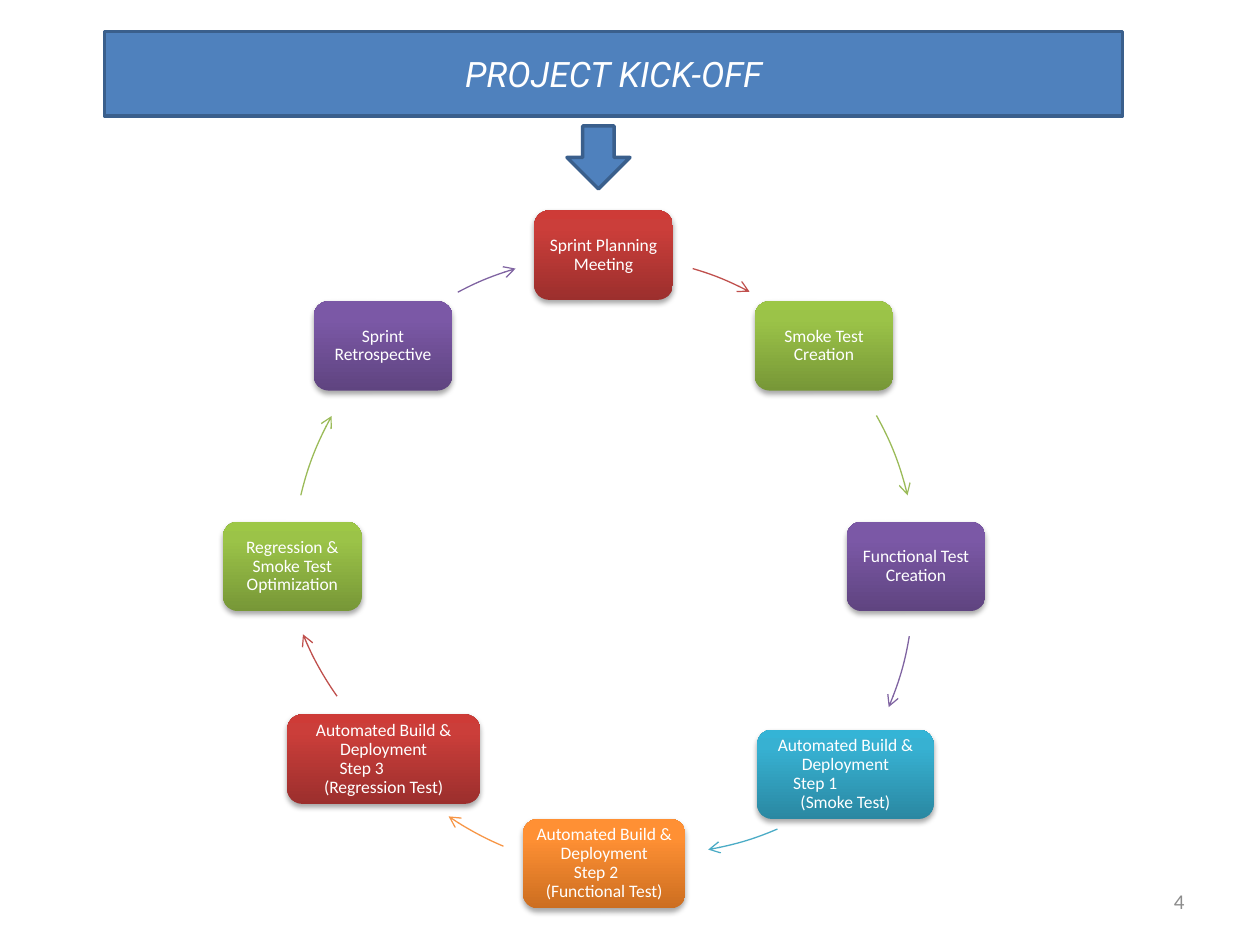
import copy
from dataclasses import dataclass

import pptx
import pptx.dml.color
import pptx.enum.shapes
import pptx.enum.text
import pptx.oxml
import pptx.oxml.ns
import pptx.util
from pptx.util import Inches

SHAPES = pptx.enum.shapes.MSO_SHAPE
ALIGN = pptx.enum.text.PP_ALIGN
MIDDLE = pptx.enum.text.MSO_ANCHOR.MIDDLE
RGB = pptx.dml.color.RGBColor.from_string
qn = pptx.oxml.ns.qn


@dataclass(frozen=True)
class Tone:
    dark: str
    mid: str
    light: str
    arrow: str


@dataclass(frozen=True)
class Theme:
    banner: str = "4F81BD"
    banner_edge: str = "3A5F8C"
    white: str = "FFFFFF"
    grey: str = "8C8C8C"
    body_font: str = "Calibri"
    title_font: str = "Roboto"
    title_size: int = 20
    card_size: int = 10
    number_size: int = 12
    banner_line: float = 2
    arrow_line: float = 0.75
    red: Tone = Tone("9C2F2D", "CB3E3A", "CE3B37", "C0504D")
    green: Tone = Tone("779737", "9BC348", "9DC746", "9BBB59")
    purple: Tone = Tone("5F4480", "7B58A6", "7C57A8", "8064A2")
    teal: Tone = Tone("2A88A2", "37B1D2", "34B4D6", "4BACC6")
    orange: Tone = Tone("CC6E20", "FF9034", "FF9136", "F79646")


THEME = Theme()
CARD_WIDTH, CARD_HEIGHT = 1.1, 0.71
RING_SIZE = 4.95
RING = (2.32, 2.03)
BUILD = "Automated Build & Deployment"

# card: left, top, width, tone, lines, step indent; arrow: ring corner, start and end degrees
STAGES = [
    ((4.24, 1.67, CARD_WIDTH), THEME.red, ["Sprint Planning Meeting"], 0,
     RING, (286.5, 297.8)),
    ((5.99, 2.39, CARD_WIDTH), THEME.green, ["Smoke Test Creation"], 0,
     RING, (330.8, 346.6)),
    ((6.72, 4.14, CARD_WIDTH), THEME.purple, ["Functional Test Creation"], 0,
     (2.3, 2.17), (9.4, 23)),
    ((6.01, 5.79, 1.4), THEME.teal, [BUILD, "Step 1", "(Smoke Test)"], 0.21,
     (2.72, 1.83), (66.8, 80.1)),
    ((4.15, 6.5, 1.29), THEME.orange, [BUILD, "Step 2", "(Functional Test)"], 0.33,
     (2.48, 1.96), (112.8, 124.3)),
    ((2.28, 5.67, 1.53), THEME.red, [BUILD, "Step 3", "(Regression Test)"], 0.34,
     (2.22, 1.62), (144.7, 157.7)),
    ((1.77, 4.14, CARD_WIDTH), THEME.green, ["Regression & Smoke Test Optimization"], 0,
     RING, (193.4, 209.1)),
    ((2.49, 2.39, CARD_WIDTH), THEME.purple, ["Sprint Retrospective"], 0,
     RING, (242, 253.5)),
]


def style_runs(paragraph, font, size, color, align, italic=False):
    paragraph.alignment = align
    for run in paragraph.runs:
        run.font.name = font
        run.font.size = pptx.util.Pt(size)
        run.font.color.rgb = RGB(color)
        run.font.italic = italic


def paint_banner(part):
    part.fill.solid()
    part.fill.fore_color.rgb = RGB(THEME.banner)
    part.line.color.rgb = RGB(THEME.banner_edge)
    part.line.width = pptx.util.Pt(THEME.banner_line)


def paint_card(card, tone):
    card.fill.gradient()
    card.fill.gradient_angle = 90
    stops = card._element.spPr.find(qn("a:gradFill")).find(qn("a:gsLst"))
    first = stops[0]
    for extra in list(stops)[1:]:
        stops.remove(extra)
    stops.extend([copy.deepcopy(first), copy.deepcopy(first)])
    values = zip(card.fill.gradient_stops, (0, 0.8, 1), (tone.dark, tone.mid, tone.light))
    for stop, position, color in values:
        stop.position = position
        stop.color.rgb = RGB(color)
    card.line.fill.background()
    card.shadow.inherit = False
    card._element.spPr.find(qn("a:effectLst")).append(pptx.oxml.parse_xml(
        f'<a:outerShdw {pptx.oxml.ns.nsdecls("a")} blurRad="40000" dist="23000" '
        'dir="5400000" rotWithShape="0"><a:srgbClr val="000000">'
        '<a:alpha val="35000"/></a:srgbClr></a:outerShdw>'))


def add_kickoff(slide, left, top, width, height):
    kickoff = slide.shapes.title
    kickoff.left, kickoff.top = Inches(left), Inches(top)
    kickoff.width, kickoff.height = Inches(width), Inches(height)
    kickoff.text_frame.text = "PROJECT KICK-OFF"
    kickoff.text_frame.vertical_anchor = MIDDLE
    style_runs(kickoff.text_frame.paragraphs[0], THEME.title_font, THEME.title_size,
               THEME.white, ALIGN.CENTER, italic=True)
    paint_banner(kickoff)


def add_start_arrow(slide, left, top, size):
    start = slide.shapes.add_shape(SHAPES.DOWN_ARROW, Inches(left), Inches(top),
                                   Inches(size), Inches(size))
    start.shadow.inherit = False
    paint_banner(start)


def add_card(slide, box, tone, lines, step_indent):
    left, top, width = box
    card = slide.shapes.add_shape(SHAPES.ROUNDED_RECTANGLE, Inches(left), Inches(top),
                                  Inches(width), Inches(CARD_HEIGHT))
    paint_card(card, tone)
    frame = card.text_frame
    frame.word_wrap = True
    frame.vertical_anchor = MIDDLE
    frame.margin_left = frame.margin_right = Inches(0.04)
    frame.margin_top = frame.margin_bottom = Inches(0.04)
    frame.text = "\n".join(lines)
    for paragraph in frame.paragraphs:
        is_step = paragraph.text.startswith("Step")
        style_runs(paragraph, THEME.body_font, THEME.card_size, THEME.white,
                   ALIGN.LEFT if is_step else ALIGN.CENTER)
        paragraph.line_spacing = 0.9
        if is_step:
            paragraph._p.get_or_add_pPr().set("marL", str(Inches(step_indent)))


def add_cycle_arrow(slide, corner, degrees, color):
    left, top = corner
    arc = slide.shapes.add_shape(SHAPES.ARC, Inches(left), Inches(top),
                                 Inches(RING_SIZE), Inches(RING_SIZE))
    for index, angle in enumerate(degrees):
        arc.adjustments[index] = angle * 0.6
    arc.fill.background()
    arc.shadow.inherit = False
    arc.line.color.rgb = RGB(color)
    arc.line.width = pptx.util.Pt(THEME.arrow_line)
    arc.line._get_or_add_ln().append(pptx.oxml.parse_xml(
        f'<a:tailEnd {pptx.oxml.ns.nsdecls("a")} type="arrow"/>'))


def add_cycle(slide, stages):
    for box, tone, lines, step_indent, corner, degrees in stages:
        add_card(slide, box, tone, lines, step_indent)
        add_cycle_arrow(slide, corner, degrees, tone.arrow)


def add_page_number(slide, left, top, width, height):
    number = slide.shapes.add_textbox(Inches(left), Inches(top),
                                      Inches(width), Inches(height))
    number.text_frame.word_wrap = True
    number.text_frame.vertical_anchor = MIDDLE
    number.text_frame.text = "4"
    style_runs(number.text_frame.paragraphs[0], THEME.body_font, THEME.number_size,
               THEME.grey, ALIGN.RIGHT)


def main():
    deck = pptx.Presentation()
    deck.slide_width, deck.slide_height = Inches(10), Inches(7.5)
    slide = deck.slides.add_slide(deck.slide_layouts[5])
    add_cycle(slide, STAGES)
    add_kickoff(slide, 0.83, 0.25, 8.08, 0.67)
    add_start_arrow(slide, 4.5, 1, 0.5)
    add_page_number(slide, 7.17, 6.95, 2.33, 0.4)
    deck.save("out.pptx")


if __name__ == "__main__":
    main()
